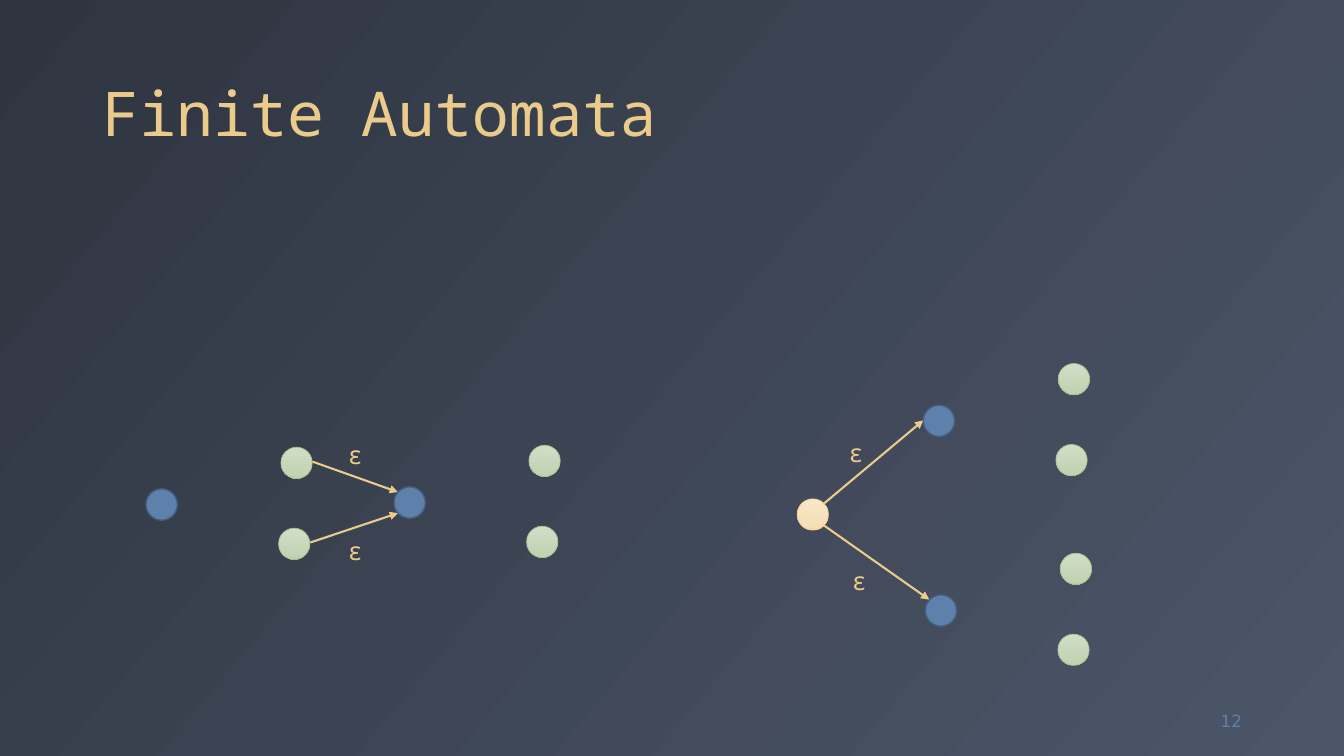
"""Slide with finite automata fragments joined by epsilon transitions."""
from lxml import etree
from pptx import Presentation
from pptx.dml.color import RGBColor
from pptx.enum.shapes import MSO_CONNECTOR, MSO_SHAPE
from pptx.enum.text import MSO_ANCHOR, PP_ALIGN
from pptx.oxml.ns import qn
from pptx.util import Cm, Pt

STRAIGHT = MSO_CONNECTOR.STRAIGHT
OVAL = MSO_SHAPE.OVAL
TOP, MIDDLE, BOTTOM = MSO_ANCHOR.TOP, MSO_ANCHOR.MIDDLE, MSO_ANCHOR.BOTTOM
LEFT, RIGHT = PP_ALIGN.LEFT, PP_ALIGN.RIGHT

COLORS = {
    "night": "2E3440", "slate": "4C5669",
    "gold": "EBCB8B", "blue": "5E81AC", "blue edge": "465F7F",
    "green light": "D1DEC6", "green dark": "BFD2B0", "green edge": "A3BE8C",
    "cream light": "F7E7CB", "cream dark": "F4DDB1",
}
MONO, SANS = "Noto Sans Mono", "DejaVu Sans"
STATE_SIZE = 0.79
ACCEPT_OFFSETS = [(3.4, -1.05), (3.34, 0.99)]

presentation = Presentation()
presentation.slide_width, presentation.slide_height = Cm(33.87), Cm(19.05)
slide = presentation.slides.add_slide(presentation.slide_layouts[6])


def paint(fill, angle, *names):
    """Fill with one colour, or with a gradient between two."""
    if len(names) == 1:
        fill.solid()
        fill.fore_color.rgb = RGBColor.from_string(COLORS[names[0]])
        return
    fill.gradient()
    fill.gradient_angle = angle
    for stop, name in zip(fill.gradient_stops, names):
        stop.color.rgb = RGBColor.from_string(COLORS[name])


def write(text, box, size, font, color, anchor=TOP, align=LEFT, wrap=True):
    """Add one line of text and return its paragraph."""
    frame = slide.shapes.add_textbox(*map(Cm, box)).text_frame
    frame.word_wrap = wrap
    frame.vertical_anchor = anchor
    paragraph = frame.paragraphs[0]
    paragraph.text = text
    paragraph.alignment = align
    paragraph.font.size = Pt(size)
    paragraph.font.name = font
    paragraph.font.color.rgb = RGBColor.from_string(COLORS[color])
    return paragraph


paint(slide.background.fill, 320, "night", "slate")

title = write("Finite Automata", (2.33, 0.46, 29.21, 3.45), 44, MONO, "gold", BOTTOM)
title.line_spacing = 0.9
write("12", (29.44, 17.65, 2.11, 1.02), 12, SANS, "blue", MIDDLE, RIGHT)

epsilon_moves = [
    ((7.87, 11.63), (10.03, 12.4), (8.51, 10.95)),
    ((7.82, 13.67), (10.03, 12.93), (8.51, 13.36)),
    ((20.75, 12.7), (23.27, 10.59), (21.13, 10.9)),
    ((20.75, 13.23), (23.42, 15.11), (21.21, 14.12)),
]
for source, target, label in epsilon_moves:
    arrow = slide.shapes.add_connector(STRAIGHT, *map(Cm, source + target))
    arrow.line.color.rgb = RGBColor.from_string(COLORS["gold"])
    arrow.line.width = Pt(1.5)
    etree.SubElement(arrow.line._get_or_add_ln(), qn("a:tailEnd"), type="triangle")
    etree.SubElement(arrow._element.spPr, qn("a:effectLst"))
    write("ε", (*label, 0.89, 1.02), 18, MONO, "gold", wrap=False)

states = [(20.09, 12.57, ("cream light", "cream dark"), "gold", 0.5)]
for start_x, start_y in [(3.68, 12.32), (9.93, 12.27), (23.27, 10.21), (23.32, 14.99)]:
    states.append((start_x, start_y, ("blue",), "blue edge", 1))
    for dx, dy in ACCEPT_OFFSETS:
        states.append((start_x + dx, start_y + dy,
                       ("green light", "green dark"), "green edge", 0.5))

for x, y, fill_names, edge, edge_width in states:
    state = slide.shapes.add_shape(OVAL, *map(Cm, (x, y, STATE_SIZE, STATE_SIZE)))
    state.shadow.inherit = False
    paint(state.fill, 270, *fill_names)
    state.line.color.rgb = RGBColor.from_string(COLORS[edge])
    state.line.width = Pt(edge_width)

presentation.save("out.pptx")
